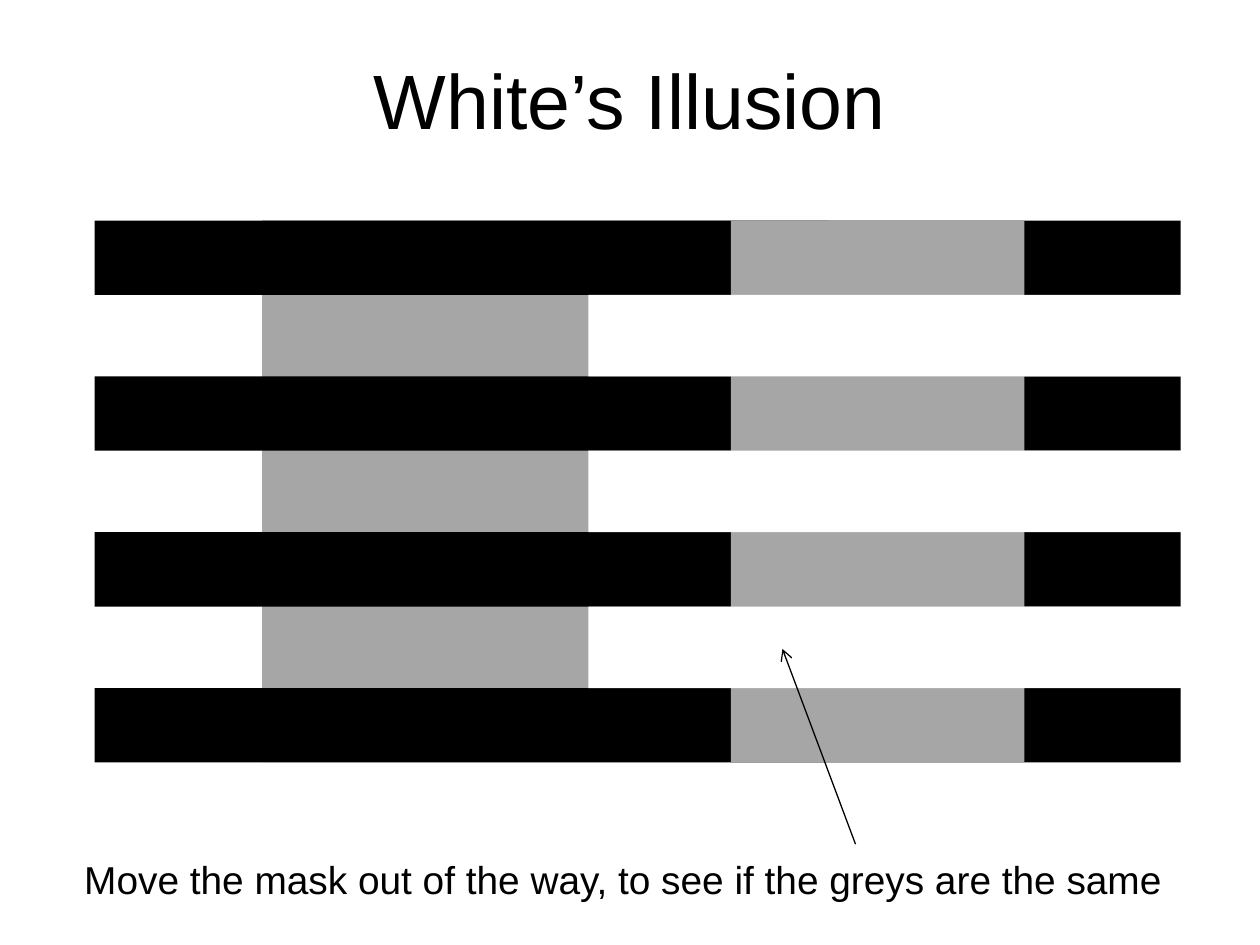
from lxml import etree
from pptx import Presentation
from pptx.dml.color import RGBColor
from pptx.enum.shapes import MSO_CONNECTOR, MSO_SHAPE
from pptx.enum.text import MSO_ANCHOR, PP_ALIGN
from pptx.oxml.ns import qn
from pptx.util import Inches, Pt

RECT = MSO_SHAPE.RECTANGLE
STRAIGHT = MSO_CONNECTOR.STRAIGHT
TOP = MSO_ANCHOR.TOP
LEFT, CENTER = PP_ALIGN.LEFT, PP_ALIGN.CENTER

BLACK = RGBColor(0x00, 0x00, 0x00)
GREY = RGBColor(0xA6, 0xA6, 0xA6)
WHITE = RGBColor(0xFF, 0xFF, 0xFF)

prs = Presentation()
prs.slide_width, prs.slide_height = Inches(10), Inches(7.5)
slide = prs.slides.add_slide(prs.slide_layouts[6])


def add_bar(shapes, x, y, w, h, color):
    sp = shapes.add_shape(RECT, Inches(x), Inches(y), Inches(w), Inches(h))
    sp.shadow.inherit = False
    sp.fill.solid()
    sp.fill.fore_color.rgb = color
    sp.line.fill.background()


def add_text(text, x, y, w, h, size, align, margin_top):
    sp = slide.shapes.add_textbox(Inches(x), Inches(y), Inches(w), Inches(h))
    tf = sp.text_frame
    frame = {"word_wrap": True, "vertical_anchor": TOP,
             "margin_top": Inches(margin_top)}
    for name, value in frame.items():
        setattr(tf, name, value)
    p = tf.paragraphs[0]
    p.alignment = align
    r = p.add_run()
    r.text = text
    for name, value in {"name": "Arial", "size": Pt(size)}.items():
        setattr(r.font, name, value)
    r.font.color.rgb = BLACK


# Stripes: four black bars between two grey columns
top, pitch, bar_h, column_h = 1.75, 1.237, 0.59, 4.3
add_bar(slide.shapes, 2.08, top, 4.49, column_h, GREY)
for i in range(4):
    add_bar(slide.shapes, 0.75, top + i * pitch, 8.62, bar_h, BLACK)
add_bar(slide.shapes, 5.8, top, 2.33, column_h, GREY)

# Movable mask: white bars that fill the gaps between the stripes
mask = slide.shapes.add_group_shape()
for i in range(3):
    add_bar(mask.shapes, 4.67, top + i * pitch + bar_h, 4.83, pitch - bar_h, WHITE)

# Title and caption
add_text("White’s Illusion", 0.5, 0.3, 9, 1.25, 44, CENTER, 0.12)
add_text("Move the mask out of the way, to see if the greys are the same",
         0.57, 6.7, 8.93, 0.65, 22.2, LEFT, 0.09)

# Arrow from the caption to the mask
arrow = slide.shapes.add_connector(
    STRAIGHT, Inches(6.79), Inches(6.7), Inches(6.21), Inches(5.15))
arrow.line.color.rgb = BLACK
arrow.line.width = Pt(0.75)
etree.SubElement(arrow.line._get_or_add_ln(), qn("a:tailEnd"), type="arrow")
etree.SubElement(arrow._element.spPr, qn("a:effectLst"))

prs.save("out.pptx")
